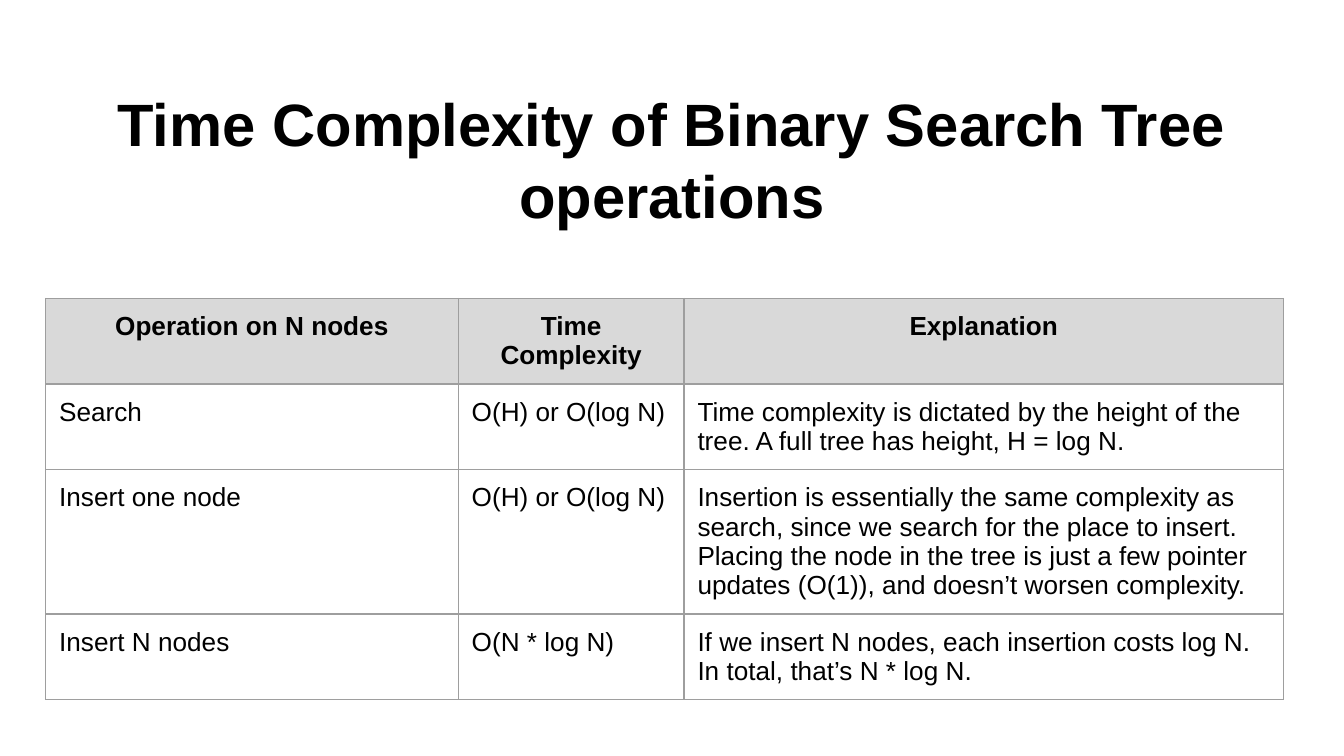
from dataclasses import dataclass

from lxml import etree
from pptx import Presentation, util as u
from pptx.dml.color import RGBColor
from pptx.enum import text
from pptx.oxml import ns

TITLE = "Time Complexity of Binary Search Tree operations"
ROWS = [
    ("Operation on N nodes", "Time Complexity", "Explanation"),
    ("Search", "O(H) or O(log N)",
     "Time complexity is dictated by the height of the tree. "
     "A full tree has height, H = log N."),
    ("Insert one node", "O(H) or O(log N)",
     "Insertion is essentially the same complexity as search, since we search "
     "for the place to insert.  Placing the node in the tree is just a few "
     "pointer updates (O(1)), and doesn’t worsen complexity."),
    ("Insert N nodes", "O(N * log N)",
     "If we insert N nodes, each insertion costs log N. "
     "In total, that’s N * log N."),
]

SLIDE_WIDTH = 10
SLIDE_SIZE = (SLIDE_WIDTH, SLIDE_WIDTH * 9 / 16)
TITLE_BOX = dict(left=0.5, top=0.74, width=9, height=0.88)
TABLE_CORNER = (0.34, 2.22)
COLUMN_WIDTHS = (3.07, 1.68, 4.46)
HEADER_HEIGHT, BODY_HEIGHT = 0.48, 0.42  # minimums: rows grow with their text
PADDING = u.Inches(0.1)
MARGINS = dict(margin_left=PADDING, margin_right=PADDING,
               margin_top=PADDING, margin_bottom=PADDING)


@dataclass(frozen=True)
class Theme:
    font: str = "Arial"
    ink: str = "000000"
    header_fill: str = "D9D9D9"
    border: str = "9E9E9E"
    border_width: float = 0.75
    title_size: int = 32
    table_size: int = 14


THEME = Theme()


def set_all(target, values):
    for name, value in values.items():
        setattr(target, name, value)


def write(frame, words, size, bold, align):
    frame.text = words
    para = frame.paragraphs[0]
    para.alignment = align
    font = para.runs[0].font
    set_all(font, dict(name=THEME.font, size=u.Pt(size), bold=bold))
    font.color.rgb = RGBColor.from_string(THEME.ink)


def draw_borders(cell):
    properties = cell._tc.get_or_add_tcPr()
    for index, side in enumerate(("lnL", "lnR", "lnT", "lnB")):
        line = etree.Element(ns.qn(f"a:{side}"), w=str(u.Pt(THEME.border_width)))
        fill = etree.SubElement(line, ns.qn("a:solidFill"))
        etree.SubElement(fill, ns.qn("a:srgbClr"), val=THEME.border)
        properties.insert(index, line)


def add_title(page):
    title = page.shapes.title
    set_all(title, {side: u.Inches(value) for side, value in TITLE_BOX.items()})
    frame = title.text_frame
    set_all(frame, dict(MARGINS, word_wrap=True,
                        auto_size=text.MSO_AUTO_SIZE.NONE,
                        vertical_anchor=text.MSO_ANCHOR.MIDDLE))
    write(frame, TITLE, THEME.title_size, True, text.PP_ALIGN.CENTER)


def add_complexity_table(page):
    heights = [HEADER_HEIGHT] + [BODY_HEIGHT] * (len(ROWS) - 1)
    box = map(u.Inches, (*TABLE_CORNER, sum(COLUMN_WIDTHS), sum(heights)))
    table = page.shapes.add_table(len(ROWS), len(COLUMN_WIDTHS), *box).table
    set_all(table, dict(first_row=False, horz_banding=False))
    for column, width in zip(table.columns, COLUMN_WIDTHS):
        column.width = u.Inches(width)
    for row_index, (row, height, contents) in enumerate(
            zip(table.rows, heights, ROWS)):
        row.height = u.Inches(height)
        header = row_index == 0
        align = text.PP_ALIGN.CENTER if header else text.PP_ALIGN.LEFT
        for cell, words in zip(row.cells, contents):
            set_all(cell, dict(MARGINS, vertical_anchor=text.MSO_ANCHOR.TOP))
            write(cell.text_frame, words, THEME.table_size, header, align)
            if header:
                cell.fill.solid()
                cell.fill.fore_color.rgb = RGBColor.from_string(THEME.header_fill)
            else:
                cell.fill.background()
            draw_borders(cell)


def main():
    deck = Presentation()
    deck.slide_width, deck.slide_height = map(u.Inches, SLIDE_SIZE)
    page = deck.slides.add_slide(deck.slide_layouts.get_by_name("Title Only"))
    add_title(page)
    add_complexity_table(page)
    deck.save("out.pptx")


if __name__ == "__main__":
    main()
